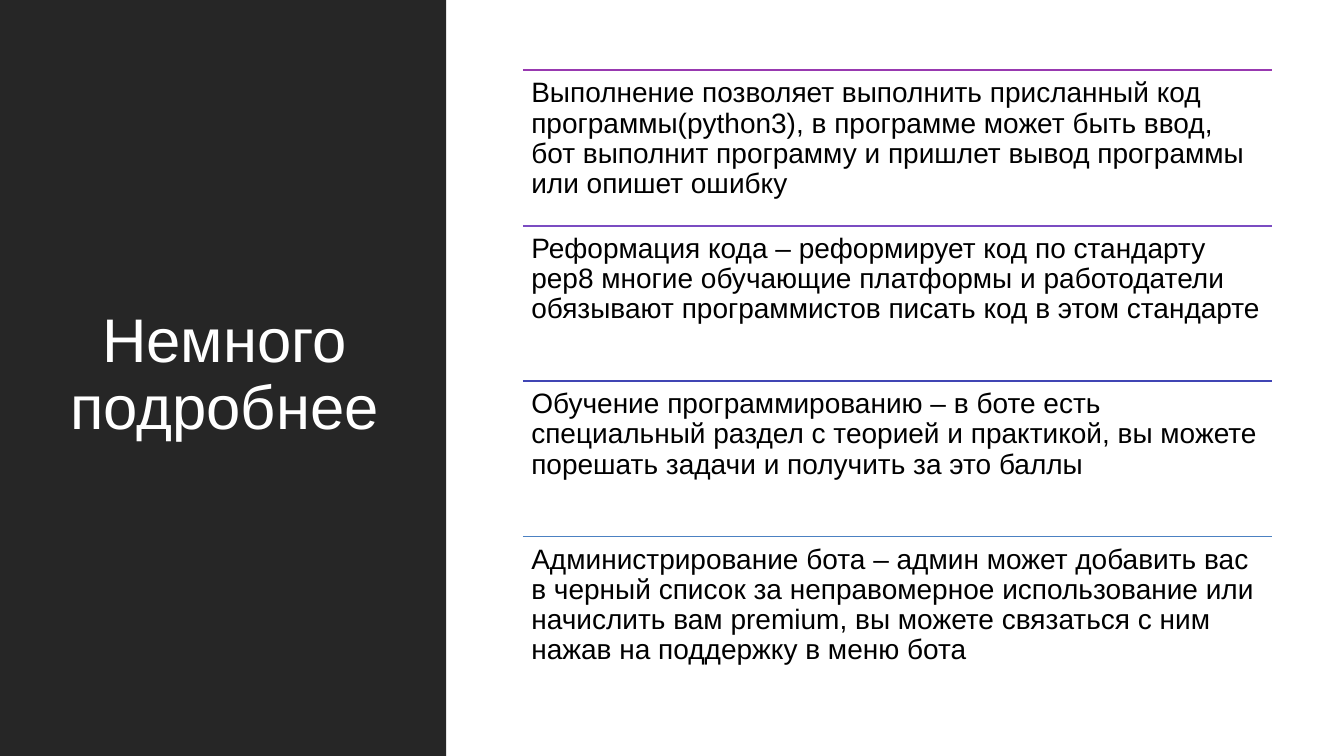
from lxml.etree import SubElement
from pptx import Presentation
from pptx.dml.color import RGBColor
from pptx.enum.shapes import MSO_CONNECTOR, MSO_SHAPE
from pptx.enum.text import MSO_ANCHOR, PP_ALIGN
from pptx.oxml.ns import qn
from pptx.util import Pt

PX = 9525
WIDTH, HEIGHT = 1280, 720
DARK = RGBColor(0x26, 0x26, 0x26)
WHITE = RGBColor(0xFF, 0xFF, 0xFF)
BLACK = RGBColor(0x00, 0x00, 0x00)
PURPLE = RGBColor(0x98, 0x39, 0xB0)
VIOLET = RGBColor(0x7B, 0x4C, 0xC2)
INDIGO = RGBColor(0x40, 0x45, 0xB4)
BLUE = RGBColor(0x4C, 0x81, 0xC2)

LIST_LEFT, LIST_TOP, LIST_WIDTH, ROW_HEIGHT = 498, 67, 713, 148
TITLE = {"size": 44, "color": WHITE, "align": PP_ALIGN.CENTER,
         "anchor": MSO_ANCHOR.MIDDLE, "insets": (10, 5)}
BODY = {"size": 20, "color": BLACK, "align": PP_ALIGN.LEFT,
        "anchor": MSO_ANCHOR.TOP, "insets": (8, 8)}
FEATURES = [
    (PURPLE, "Выполнение позволяет выполнить присланный код программы(python3), "
             "в программе может быть ввод, бот выполнит программу и пришлет "
             "вывод программы или опишет ошибку"),
    (VIOLET, "Реформация кода – реформирует код по стандарту pep8 многие "
             "обучающие платформы и работодатели обязывают программистов "
             "писать код в этом стандарте"),
    (INDIGO, "Обучение программированию – в боте есть специальный раздел с "
             "теорией и практикой, вы можете порешать задачи и получить за "
             "это баллы"),
    (BLUE, "Администрирование бота – админ может добавить вас в черный список "
           "за неправомерное использование или начислить вам premium, вы "
           "можете связаться с ним нажав на поддержку в меню бота"),
]


def emu(*lengths):
    """Turn px lengths into EMU."""
    return [n * PX for n in lengths]


def add_panel(s, box, color):
    """Add a plain filled rectangle."""
    sp = s.shapes.add_shape(MSO_SHAPE.RECTANGLE, *emu(*box))
    sp.shadow.inherit = False
    sp.fill.solid()
    sp.fill.fore_color.rgb = color
    sp.line.fill.background()


def add_rule(s, left, top, width, color):
    """Add a thin horizontal line."""
    sp = s.shapes.add_connector(
        MSO_CONNECTOR.STRAIGHT, *emu(left, top, left + width, top))
    sp.line.color.rgb = color
    sp.line.width = Pt(1.25)
    SubElement(sp._element.spPr, qn("a:effectLst"))


def add_text(s, box, text, style):
    """Add a wrapped text box in the given style."""
    tf = s.shapes.add_textbox(*emu(*box)).text_frame
    side, edge = emu(*style["insets"])
    frame = {"word_wrap": True, "vertical_anchor": style["anchor"],
             "margin_left": side, "margin_right": side,
             "margin_top": edge, "margin_bottom": edge}
    p = tf.paragraphs[0]
    r = p.add_run()
    r.text = text
    r.font.color.rgb = style["color"]
    paragraph = {"alignment": style["align"], "line_spacing": 0.9}
    font = {"name": "Arial", "size": Pt(style["size"])}
    for target, values in ((tf, frame), (p, paragraph), (r.font, font)):
        for name, value in values.items():
            setattr(target, name, value)


def main():
    """Build the slide and save it."""
    prs = Presentation()
    prs.slide_width, prs.slide_height = emu(WIDTH, HEIGHT)
    s = prs.slides.add_slide(prs.slide_layouts[6])
    add_panel(s, (0, 0, 425, HEIGHT), DARK)
    add_text(s, (52, 55, 324, 606), "Немного подробнее", TITLE)
    for i, (color, text) in enumerate(FEATURES):
        top = LIST_TOP + i * ROW_HEIGHT
        add_rule(s, LIST_LEFT, top, LIST_WIDTH, color)
        add_text(s, (LIST_LEFT, top, LIST_WIDTH, ROW_HEIGHT), text, BODY)
    prs.save("out.pptx")


if __name__ == "__main__":
    main()
